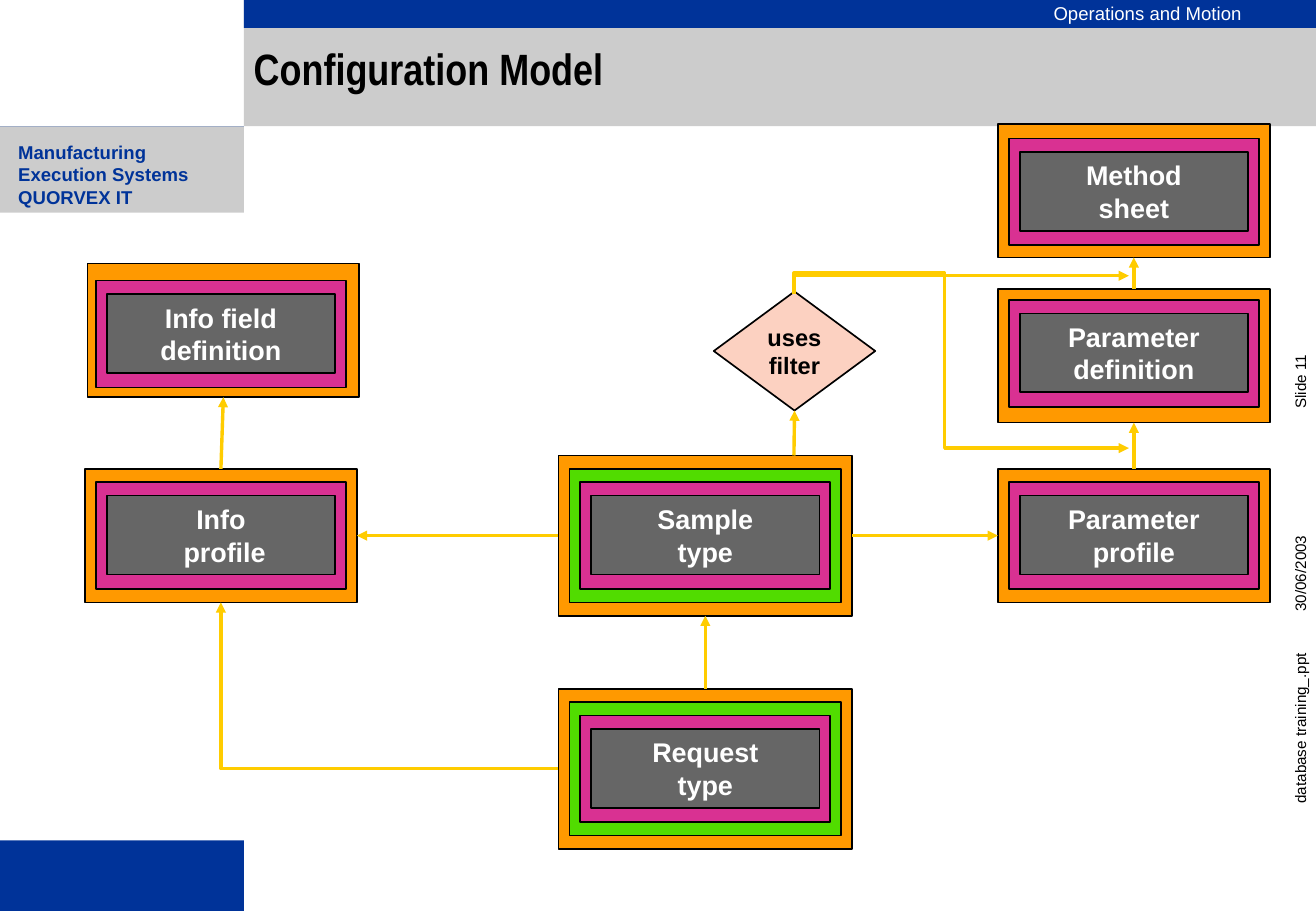
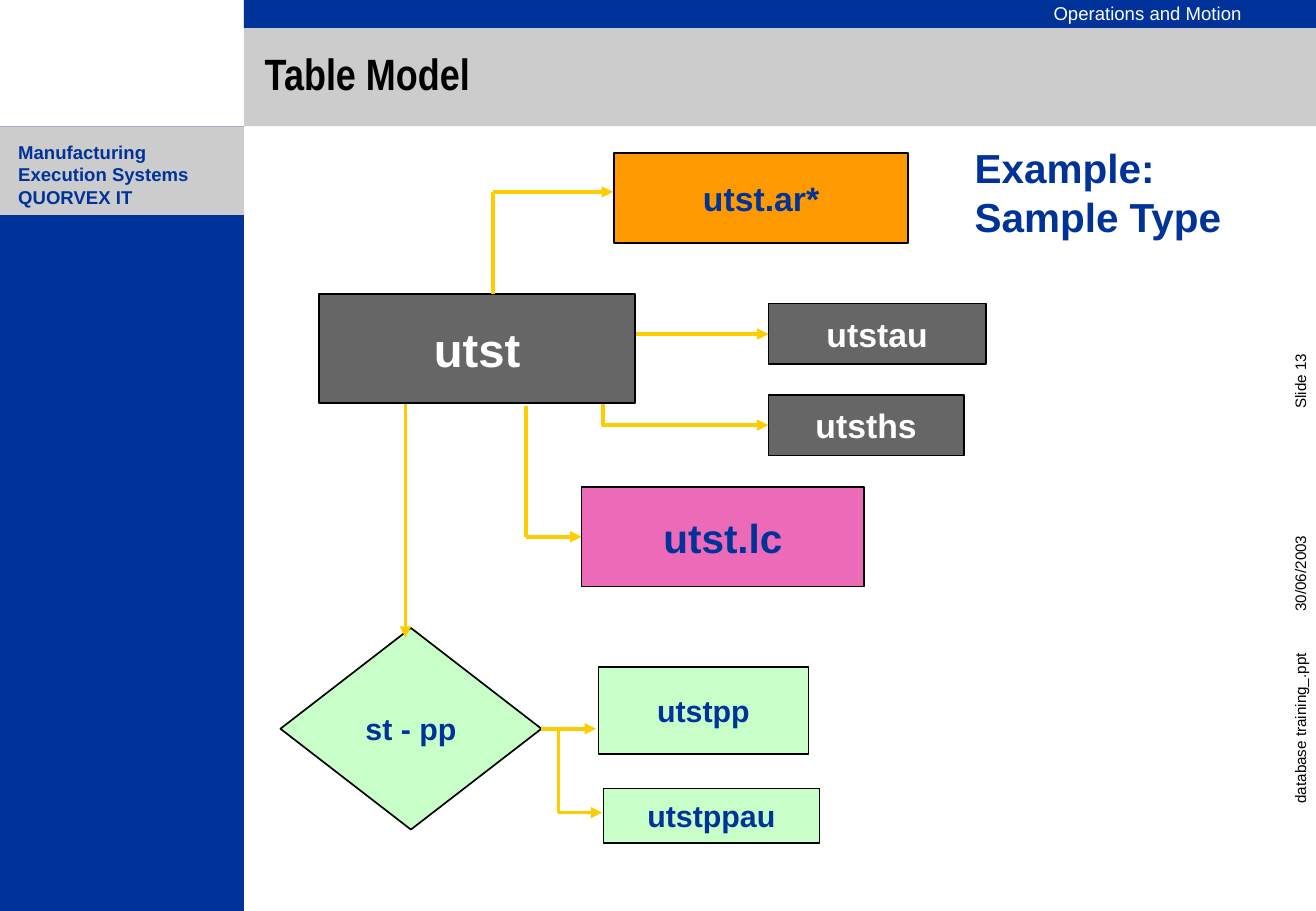
import dataclasses
import typing

import lxml.etree
import pptx
import pptx.dml.color
import pptx.enum.shapes
import pptx.enum.text
import pptx.oxml.ns
import pptx.util

EMU_PER_PX = 9144  # 100 px to the inch
SHAPES = pptx.enum.shapes.MSO_SHAPE
ALIGN = pptx.enum.text.PP_ALIGN
ANCHOR = pptx.enum.text.MSO_ANCHOR
TOP, LEFT, BOTTOM, RIGHT = range(4)

WHITE, BLACK, BLUE, SILVER = "FFFFFF", "000000", "003399", "CCCCCC"
ORANGE, MAGENTA, GREEN, GRAY = "FF9900", "D93192", "51DC00", "666666"
PINK, MINT, PEACH, YELLOW = "EC6AB7", "C8FEC8", "FCD1C1", "FFCC00"

CORE_WIDTH, CORE_HEIGHT = 188, 65
RING_X, RING_Y = 9, 11


class Box(typing.NamedTuple):
    left: int
    top: int
    width: int
    height: int


class Point(typing.NamedTuple):
    x: int
    y: int


class Joint(typing.NamedTuple):
    shape: typing.Any
    site: int


@dataclasses.dataclass(frozen=True)
class Style:
    size: int
    color: str
    bold: bool = True
    font: str = "Arial"


@dataclasses.dataclass(frozen=True)
class Nest:
    """A labelled core inside coloured rings, listed from the inside out."""
    name: str
    left: int
    top: int
    lines: tuple[str, ...]
    rings: tuple[str, ...] = (MAGENTA, ORANGE)
    outer_shift: Point = Point(0, 0)


@dataclasses.dataclass(frozen=True)
class Node:
    lines: tuple[str, ...]
    box: Box
    fill: str
    style: Style
    kind: typing.Any = SHAPES.RECTANGLE


TITLE_STYLE = Style(26, BLACK, font="Arial Narrow")
SIDE_STYLE = Style(11, BLUE)
BAND_STYLE = Style(11, WHITE, bold=False)
MARGIN_STYLE = Style(9, BLACK, bold=False)
CORE_STYLE = Style(16, WHITE)


def px(length: int) -> pptx.util.Emu:
    return pptx.util.Emu(length * EMU_PER_PX)


def rgb(color: str) -> pptx.dml.color.RGBColor:
    return pptx.dml.color.RGBColor.from_string(color)


def place(shape, box: Box) -> None:
    shape.left, shape.top, shape.width, shape.height = map(px, box)


def write(shape, lines: typing.Iterable[str], style: Style, align=ALIGN.LEFT,
          anchor=ANCHOR.TOP, insets: Point = Point(10, 5), wrap: bool = True,
          spacing: float = 1.0) -> None:
    frame = shape.text_frame
    frame.auto_size = pptx.enum.text.MSO_AUTO_SIZE.NONE
    frame.word_wrap = wrap
    frame.vertical_anchor = anchor
    frame.margin_left = frame.margin_right = px(insets.x)
    frame.margin_top = frame.margin_bottom = px(insets.y)
    for index, line in enumerate(lines):
        paragraph = frame.add_paragraph() if index else frame.paragraphs[0]
        paragraph.alignment = align
        paragraph.line_spacing = spacing
        run = paragraph.add_run()
        run.text = line
        run.font.name = style.font
        run.font.size = pptx.util.Pt(style.size)
        run.font.bold = style.bold
        run.font.color.rgb = rgb(style.color)


def add_block(slide, box: Box, fill: str, outlined: bool = True,
              kind=SHAPES.RECTANGLE):
    shape = slide.shapes.add_shape(kind, *map(px, box))
    shape.shadow.inherit = False
    shape.fill.solid()
    shape.fill.fore_color.rgb = rgb(fill)
    if outlined:
        shape.line.color.rgb = rgb(BLACK)
        shape.line.width = pptx.util.Pt(1)
    else:
        shape.line.fill.background()
    return shape


def add_text(slide, box: Box, lines: typing.Iterable[str], style: Style, **options):
    shape = slide.shapes.add_textbox(*map(px, box))
    write(shape, lines, style, **options)
    return shape


def add_margin_note(slide, top: int, text: str):
    """Add small text that reads upwards along the right edge."""
    note = add_text(slide, Box(987, top, 168, 25), (text,), MARGIN_STYLE,
                    insets=Point(5, 5))
    note.rotation = 270
    return note


def add_node(slide, node: Node):
    shape = add_block(slide, node.box, node.fill, kind=node.kind)
    write(shape, node.lines, node.style, ALIGN.CENTER, ANCHOR.MIDDLE, wrap=False)
    return shape


def add_nest(slide, nest: Nest):
    """Draw the rings and the core; return the outermost ring."""
    outer = None
    for level in range(len(nest.rings), 0, -1):
        shift = Point(0, 0) if outer else nest.outer_shift
        box = Box(nest.left - RING_X * level + shift.x,
                  nest.top - RING_Y * level + shift.y,
                  CORE_WIDTH + 2 * RING_X * level,
                  CORE_HEIGHT + 2 * RING_Y * level + 1)
        ring = add_block(slide, box, nest.rings[level - 1])
        outer = outer or ring
    add_node(slide, Node(nest.lines, Box(nest.left, nest.top, CORE_WIDTH, CORE_HEIGHT),
                         GRAY, CORE_STYLE))
    return outer


def add_link(slide, start: Point | Joint, end: Point | Joint, width: float = 2.25,
             arrow: str | None = "tailEnd", bend: str | None = None,
             adjustments: tuple[int, ...] = ()) -> None:
    """Draw a yellow connector; bend names a preset other than a straight line."""
    qn = pptx.oxml.ns.qn
    corners = [Point(0, 0) if isinstance(point, Joint) else point
               for point in (start, end)]
    connector = slide.shapes.add_connector(
        pptx.enum.shapes.MSO_CONNECTOR.STRAIGHT,
        *(px(value) for corner in corners for value in corner))
    if isinstance(start, Joint):
        connector.begin_connect(start.shape, start.site)
    if isinstance(end, Joint):
        connector.end_connect(end.shape, end.site)
    connector.line.color.rgb = rgb(YELLOW)
    connector.line.width = pptx.util.Pt(width)
    properties = connector.element.spPr
    if arrow:
        lxml.etree.SubElement(properties.find(qn("a:ln")), qn(f"a:{arrow}"),
                              type="triangle")
    lxml.etree.SubElement(properties, qn("a:effectLst"))
    if bend:
        geometry = properties.find(qn("a:prstGeom"))
        geometry.set("prst", bend)
        for number, value in enumerate(adjustments, 1):
            lxml.etree.SubElement(geometry.find(qn("a:avLst")), qn("a:gd"),
                                  name=f"adj{number}", fmla=f"val {value}")


def furnish_layout(layout, slide) -> None:
    """Build the bands and fixed texts on a slide, then move them to its layout."""
    for placeholder in list(layout.placeholders):
        if placeholder.placeholder_format.idx:
            placeholder.element.getparent().remove(placeholder.element)
    place(layout.placeholders[0], Box(208, 33, 858, 59))
    bands = (
        (Box(201, 0, 883, 104), SILVER),
        (Box(201, 0, 883, 23), BLUE),
        (Box(0, 104, 201, 646), BLUE),
        (Box(0, 104, 201, 73), SILVER),
    )
    furniture = [add_block(slide, box, fill, outlined=False) for box, fill in bands]
    furniture += [
        add_text(slide, Box(858, -1, 175, 27), ("Operations and Motion",), BAND_STYLE,
                 wrap=False, spacing=0.9),
        add_text(slide, Box(11, 116, 187, 55),
                 ("Manufacturing Execution Systems", "QUORVEX IT"), SIDE_STYLE,
                 insets=Point(4, 0)),
        add_margin_note(slide, 412, "30/06/2003"),
        add_margin_note(slide, 570, "database training_.ppt"),
    ]
    for shape in furniture:
        layout.shapes.element.append(shape.element)


def start_slide(slide, title: str, box: Box, number: int) -> None:
    place(slide.shapes.title, box)
    write(slide.shapes.title, (title,), TITLE_STYLE, anchor=ANCHOR.MIDDLE, spacing=0.9)
    add_margin_note(slide, 245, f"Slide {number}")


def draw_configuration_model(slide) -> None:
    cover = add_block(slide, Box(0, 175, 217, 517), WHITE, outlined=False)
    slide.shapes.element.insert(2, cover.element)
    start_slide(slide, "Configuration Model", Box(199, 33, 858, 51), 11)

    wide_rings = (MAGENTA, GREEN, ORANGE)
    nests = (
        Nest("method", 840, 125, ("Method", "sheet"), outer_shift=Point(0, -1)),
        Nest("field", 88, 242, ("Info field", "definition"), outer_shift=Point(2, -3)),
        Nest("definition", 840, 258, ("Parameter", "definition"),
             outer_shift=Point(0, 2)),
        Nest("profile", 840, 408, ("Parameter", "profile")),
        Nest("info", 88, 408, ("Info", " profile")),
        Nest("sample", 487, 408, ("Sample", "type"), wide_rings),
        Nest("request", 487, 600, ("Request", "type"), wide_rings),
    )
    outers = {nest.name: add_nest(slide, nest) for nest in nests}
    uses_filter = add_node(slide, Node(("uses", "filter"), Box(588, 240, 133, 98), PEACH,
                                       Style(14, BLACK), SHAPES.DIAMOND))

    for source, source_site, target, target_site in (
        ("info", TOP, "field", BOTTOM),
        ("sample", LEFT, "info", RIGHT),
        ("sample", RIGHT, "profile", LEFT),
        ("profile", TOP, "definition", BOTTOM),
        ("definition", TOP, "method", BOTTOM),
        ("request", TOP, "sample", BOTTOM),
    ):
        add_link(slide, Joint(outers[source], source_site),
                 Joint(outers[target], target_site), 2)
    add_link(slide, Point(654, 375), Joint(uses_filter, BOTTOM), 2)
    add_link(slide, Point(460, 633), Point(182, 496), 2, bend="bentConnector2")
    add_link(slide, Point(930, 227), Point(654, 242), 2, "headEnd", "bentConnector2")
    add_link(slide, Point(930, 369), Point(654, 233), 2, "headEnd", "bentConnector4",
             (55000, 106000))


def draw_table_model(slide) -> None:
    start_slide(slide, "Table Model", Box(208, 33, 858, 59), 13)
    white_label, blue_label = Style(20, WHITE), Style(18, BLUE)
    nodes = (
        Node(("utst",), Box(263, 242, 260, 90), GRAY, Style(28, WHITE)),
        Node(("utstau",), Box(633, 250, 179, 50), GRAY, white_label),
        Node(("utsths",), Box(633, 325, 161, 50), GRAY, white_label),
        Node(("utst.lc",), Box(479, 401, 233, 82), PINK, Style(24, BLUE)),
        Node(("utst.ar*",), Box(506, 126, 242, 74), ORANGE, Style(20, BLUE)),
        Node(("st - pp",), Box(231, 517, 215, 166), MINT, blue_label, SHAPES.DIAMOND),
        Node(("utstpp",), Box(493, 549, 173, 72), MINT, blue_label),
        Node(("utstppau",), Box(497, 649, 178, 45), MINT, blue_label),
    )
    shapes = {node.lines[0]: add_node(slide, node) for node in nodes}

    for start, end in (
        (Point(524, 275), Joint(shapes["utstau"], LEFT)),
        (Point(496, 350), Joint(shapes["utsths"], LEFT)),
        (Point(433, 442), Joint(shapes["utst.lc"], LEFT)),
        (Point(406, 158), Point(505, 158)),
        (Point(334, 333), Point(334, 525)),
        (Joint(shapes["st - pp"], RIGHT), Point(491, 600)),
        (Point(460, 669), Point(496, 669)),
    ):
        add_link(slide, start, end)
    for x, top, bottom in ((497, 333, 351), (433, 334, 442), (406, 158, 242),
                           (460, 601, 669)):
        add_link(slide, Point(x, top), Point(x, bottom), arrow=None)
    add_text(slide, Box(793, 113, 291, 90), ("Example:", "Sample Type"), Style(24, BLUE))


def main() -> None:
    presentation = pptx.Presentation()
    presentation.slide_width, presentation.slide_height = px(1084), px(750)
    layout = presentation.slide_layouts.get_by_name("Title Only")
    configuration, table = (presentation.slides.add_slide(layout) for _ in range(2))
    furnish_layout(layout, configuration)
    draw_configuration_model(configuration)
    draw_table_model(table)
    presentation.save("out.pptx")


if __name__ == "__main__":
    main()
